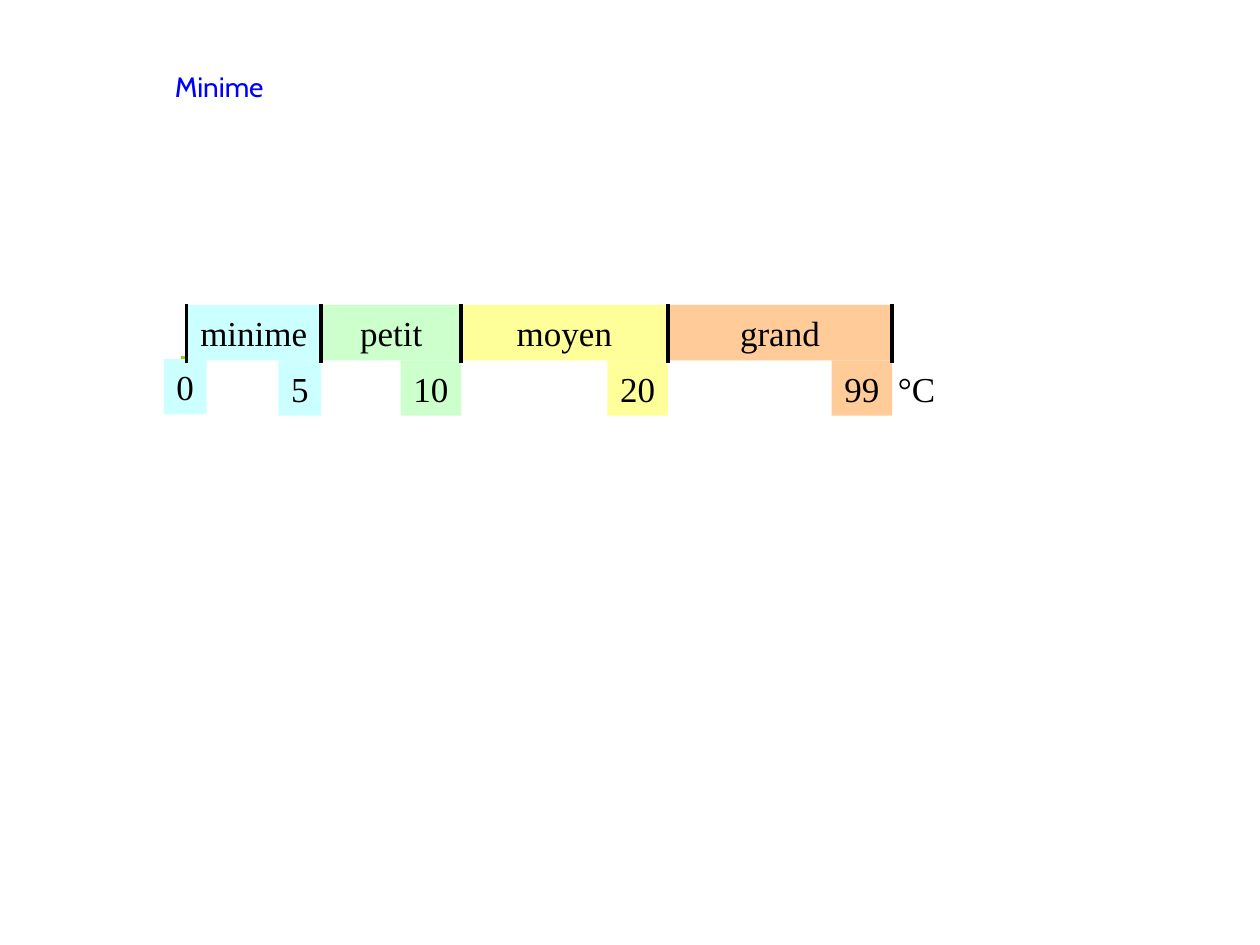
from itertools import pairwise
from pptx import Presentation
from pptx.dml.color import RGBColor
from pptx.enum.shapes import MSO_CONNECTOR, MSO_SHAPE
from pptx.enum.text import MSO_ANCHOR, PP_ALIGN
from pptx.oxml.ns import qn
from pptx.util import Inches, Pt
from lxml import etree

TICKS = [1.48, 2.55, 3.66, 5.3, 7.08]
CLASSES = [
    ("minime", "5", 0.34, "CCFFFF"),
    ("petit", "10", 0.48, "CCFFCC"),
    ("moyen", "20", 0.48, "FFFF99"),
    ("grand", "99", 0.48, "FFCC99"),
]
BAND_TOP, VALUE_TOP, ROW_HEIGHT = 2.42, 2.86, 0.44


def color(value):
    return RGBColor.from_string(value)


def write(sp, text, size=20, font="Times New Roman", ink="000000",
          align=PP_ALIGN.CENTER, anchor=MSO_ANCHOR.MIDDLE):
    tf = sp.text_frame
    tf.text = text
    tf.word_wrap = False
    tf.vertical_anchor = anchor
    p = tf.paragraphs[0]
    p.alignment = align
    r = p.runs[0]
    r.font.size = Pt(size)
    r.font.name = font
    r.font.color.rgb = color(ink)


def add_label(s, text, left, top, width, height, **style):
    sp = s.shapes.add_textbox(Inches(left), Inches(top), Inches(width), Inches(height))
    write(sp, text, **style)


def add_box(s, text, left, top, width, fill):
    sp = s.shapes.add_shape(MSO_SHAPE.RECTANGLE, Inches(left), Inches(top),
                            Inches(width), Inches(ROW_HEIGHT))
    sp.shadow.inherit = False
    sp.fill.solid()
    sp.fill.fore_color.rgb = color(fill)
    sp.line.fill.background()
    write(sp, text)


def add_line(s, x1, y1, x2, y2, ink):
    line = s.shapes.add_connector(MSO_CONNECTOR.STRAIGHT, Inches(x1), Inches(y1),
                                  Inches(x2), Inches(y2))
    line.line.color.rgb = color(ink)
    line.line.width = Pt(2.25)
    etree.SubElement(line._element.spPr, qn("a:effectLst"))


def main():
    prs = Presentation()
    prs.slide_width, prs.slide_height = Inches(10), Inches(7.5)
    s = prs.slides.add_slide(prs.slide_layouts[6])

    add_line(s, 1.44, 2.84, 6.33, 2.84, "99CC00")
    add_label(s, "Minime", 1.29, 0.5, 0.98, 0.64, size=16, font="Cabin",
              ink="0000FF", align=PP_ALIGN.LEFT, anchor=MSO_ANCHOR.TOP)

    add_box(s, "0", 1.3, 2.85, 0.34, "CCFFFF")
    for (start, end), (name, limit, width, fill) in zip(pairwise(TICKS), CLASSES):
        add_box(s, limit, end - width, VALUE_TOP, width, fill)
        add_box(s, name, start, BAND_TOP, end - start, fill)
    add_label(s, "°C", 6.98, VALUE_TOP, 0.59, ROW_HEIGHT)

    for x in TICKS:
        add_line(s, x, 2.41, x, 2.88, "000000")

    prs.save("out.pptx")


if __name__ == "__main__":
    main()
